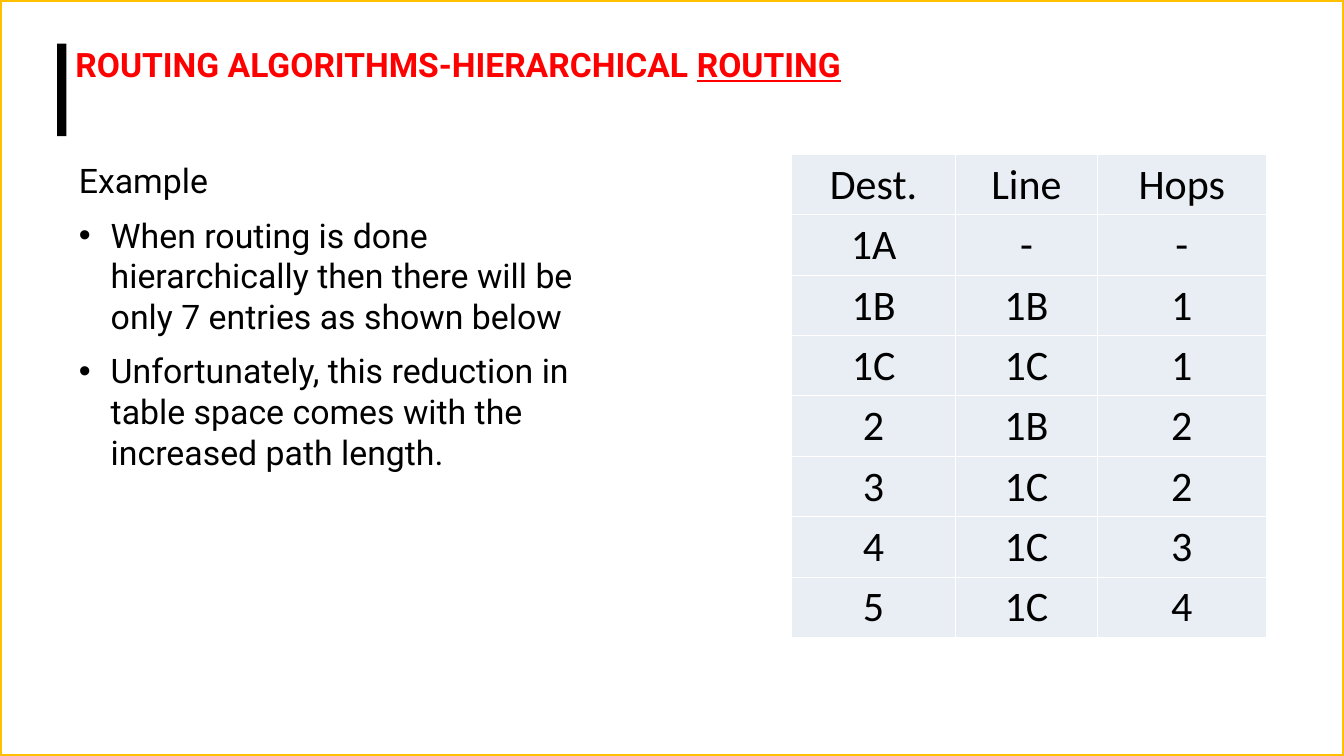
from typing import NamedTuple

from lxml.etree import SubElement
from pptx import Presentation
from pptx.dml.color import RGBColor
from pptx.enum.shapes import MSO_SHAPE
from pptx.enum.text import MSO_ANCHOR, MSO_AUTO_SIZE, PP_ALIGN
from pptx.oxml import parse_xml
from pptx.oxml.ns import nsdecls, qn
from pptx.shapes.autoshape import Shape
from pptx.slide import Slide
from pptx.table import _Cell
from pptx.text.text import _Paragraph
from pptx.util import Pt

BLACK, WHITE, RED, AMBER, PALE_BLUE = "000000", "FFFFFF", "FF0000", "FFC000", "E9EDF4"
BULLET_INDENT = 27.36


class Box(NamedTuple):
    """Position and size in points."""

    left: float
    top: float
    width: float
    height: float


class TextStyle(NamedTuple):
    """Look of a run of text."""

    font: str
    size: float
    colour: str
    bold: bool = False
    underline: bool = False


class BodyItem(NamedTuple):
    """One paragraph of the body."""

    text: str
    bulleted: bool = True


class Panel(NamedTuple):
    """A decorative rectangle."""

    box: Box
    fill: str
    opacity: int = 100
    outline: str | None = None


TITLE_STYLE = TextStyle("Roboto", 28.8, RED, bold=True)
BODY_STYLE = TextStyle("Roboto", 29, BLACK)
CELL_STYLE = TextStyle("Calibri", 36, BLACK)

PANELS = [
    Panel(Box(0, 0, 1152, 648), WHITE, opacity=49, outline=AMBER),
    Panel(Box(48.96, 37.44, 7.92, 79.2), BLACK),
]
BODY_BOX = Box(59.04, 132.48, 494, 446.4)
TITLE_BOX = Box(56.16, 37.44, 735.84, 79.2)
TABLE_BOX = Box(678.24, 132.48, 407.5, 414)
COLUMN_WIDTHS = [141.12, 120.96, 145.42]

TITLE_RUNS = [
    ("ROUTING ALGORITHMS-HIERARCHICAL ", TITLE_STYLE),
    ("ROUTING", TITLE_STYLE._replace(underline=True)),
]
BODY_ITEMS = [
    BodyItem("Example", bulleted=False),
    BodyItem("When routing is done hierarchically then there will be only 7 entries as shown below"),
    BodyItem("Unfortunately, this reduction in table space comes with the increased path length."),
]
ROUTES = [
    ("Dest.", "Line", "Hops"),
    ("1A", "-", "-"),
    ("1B", "1B", "1"),
    ("1C", "1C", "1"),
    ("2", "1B", "2"),
    ("3", "1C", "2"),
    ("4", "1C", "3"),
    ("5", "1C", "4"),
]


def colour(value: str) -> RGBColor:
    """Turn a hex string into a colour."""
    return RGBColor.from_string(value)


def add_run(paragraph: _Paragraph, text: str, style: TextStyle) -> None:
    """Append a styled run to a paragraph."""
    run = paragraph.add_run()
    run.text = text
    run.font.name = style.font
    run.font.size = Pt(style.size)
    run.font.bold = style.bold
    run.font.underline = style.underline
    run.font.color.rgb = colour(style.colour)


def add_panel(slide: Slide, panel: Panel) -> None:
    """Draw a decorative rectangle."""
    shape = slide.shapes.add_shape(MSO_SHAPE.RECTANGLE, *map(Pt, panel.box))
    shape.shadow.inherit = False
    shape.fill.solid()
    shape.fill.fore_color.rgb = colour(panel.fill)
    if panel.opacity < 100:
        fill_colour = shape.element.spPr.find(qn("a:solidFill")).find(qn("a:srgbClr"))
        SubElement(fill_colour, qn("a:alpha"), val=str(panel.opacity * 1000))
    if panel.outline:
        shape.line.color.rgb = colour(panel.outline)
        shape.line.width = Pt(3)
    else:
        shape.line.fill.background()


def place_placeholder(shape: Shape, box: Box) -> None:
    """Move a placeholder in front of the panels and set up its frame."""
    shape.left, shape.top, shape.width, shape.height = map(Pt, box)
    shape.element.getparent().append(shape.element)
    frame = shape.text_frame
    frame.word_wrap = True
    frame.auto_size = MSO_AUTO_SIZE.NONE
    frame.vertical_anchor = MSO_ANCHOR.TOP
    frame.margin_left = frame.margin_right = Pt(8.5)
    frame.margin_top = frame.margin_bottom = Pt(4.32)


def set_bullet(paragraph: _Paragraph, bulleted: bool) -> None:
    """Give a paragraph a hanging bullet, or none."""
    properties = paragraph._p.get_or_add_pPr()
    indent = Pt(BULLET_INDENT) if bulleted else 0
    properties.set("marL", str(indent))
    properties.set("indent", str(-indent))
    if bulleted:
        bullet_colour = SubElement(properties, qn("a:buClr"))
        SubElement(bullet_colour, qn("a:srgbClr"), val=BLACK)
        SubElement(properties, qn("a:buFont"), typeface="Arial")
        SubElement(properties, qn("a:buChar"), char="•")
    else:
        SubElement(properties, qn("a:buNone"))


def fill_body(shape: Shape, items: list[BodyItem]) -> None:
    """Write the body paragraphs."""
    frame = shape.text_frame
    for index, item in enumerate(items):
        paragraph = frame.add_paragraph() if index else frame.paragraphs[0]
        set_bullet(paragraph, item.bulleted)
        paragraph.alignment = PP_ALIGN.LEFT
        paragraph.space_before = Pt(12 if index else 0)
        add_run(paragraph, item.text, BODY_STYLE)


def fill_title(shape: Shape) -> None:
    """Write the title runs."""
    paragraph = shape.text_frame.paragraphs[0]
    paragraph.alignment = PP_ALIGN.LEFT
    paragraph.line_spacing = 0.9
    for text, style in TITLE_RUNS:
        add_run(paragraph, text, style)


def format_cell(cell: _Cell, text: str) -> None:
    """Write, fill and border one table cell."""
    cell.fill.solid()
    cell.fill.fore_color.rgb = colour(PALE_BLUE)
    cell.vertical_anchor = MSO_ANCHOR.MIDDLE
    cell.margin_left = cell.margin_right = cell.margin_top = Pt(0.72)
    cell.margin_bottom = Pt(0)
    for index, side in enumerate(("lnL", "lnR", "lnT", "lnB")):
        border = parse_xml(
            f'<a:{side} {nsdecls("a")} w="{Pt(1)}"><a:solidFill>'
            f'<a:srgbClr val="{WHITE}"/></a:solidFill></a:{side}>'
        )
        cell._tc.get_or_add_tcPr().insert(index, border)
    paragraph = cell.text_frame.paragraphs[0]
    paragraph.alignment = PP_ALIGN.CENTER
    add_run(paragraph, text, CELL_STYLE)


def add_routing_table(slide: Slide) -> None:
    """Draw the routing table."""
    frame = slide.shapes.add_table(len(ROUTES), len(COLUMN_WIDTHS), *map(Pt, TABLE_BOX))
    table = frame.table
    table.first_row = table.horz_banding = False
    for column, width in zip(table.columns, COLUMN_WIDTHS):
        column.width = Pt(width)
    for row, route in zip(table.rows, ROUTES):
        row.height = Pt(TABLE_BOX.height / len(ROUTES))
        for cell, text in zip(row.cells, route):
            format_cell(cell, text)


def main() -> None:
    """Build and save the slide."""
    presentation = Presentation()
    presentation.slide_width, presentation.slide_height = Pt(1152), Pt(648)
    slide = presentation.slides.add_slide(presentation.slide_layouts[1])
    title, body = slide.shapes.title, slide.placeholders[1]
    for panel in PANELS:
        add_panel(slide, panel)
    place_placeholder(body, BODY_BOX)
    fill_body(body, BODY_ITEMS)
    place_placeholder(title, TITLE_BOX)
    fill_title(title)
    add_routing_table(slide)
    presentation.save("out.pptx")


if __name__ == "__main__":
    main()
